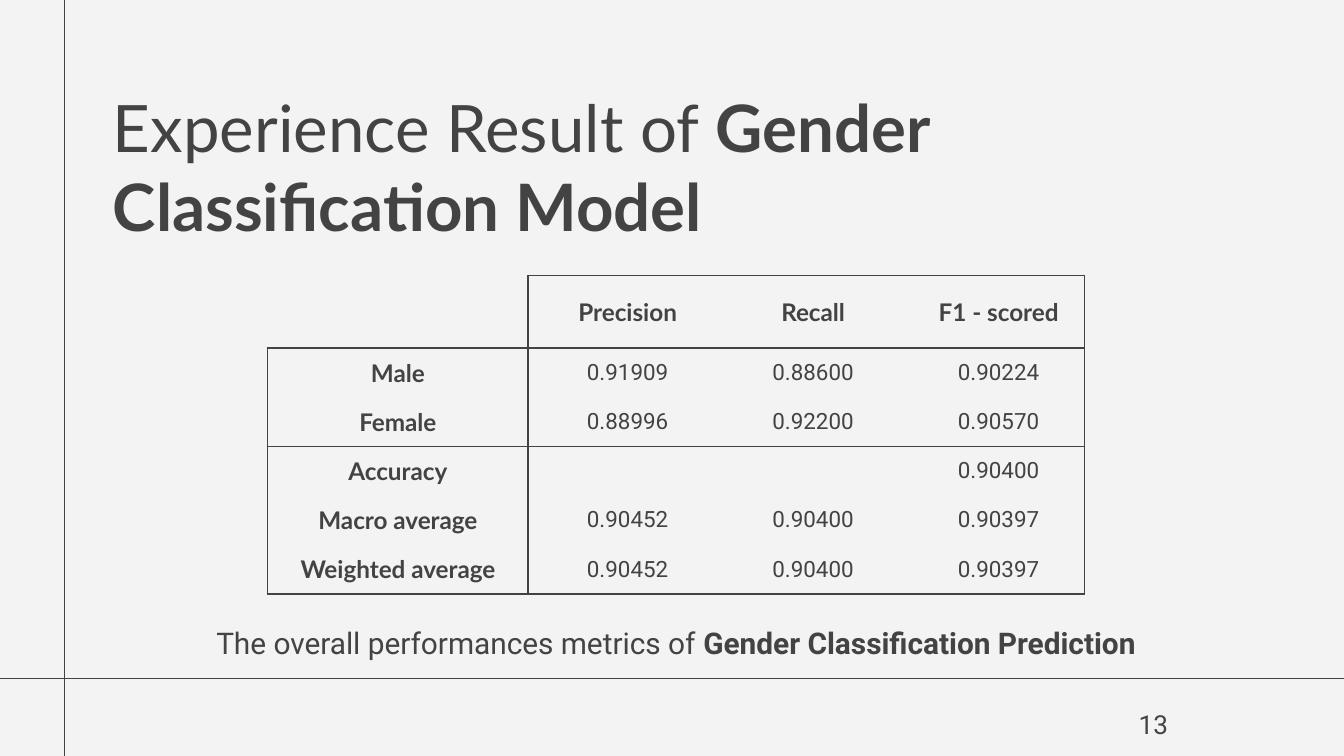
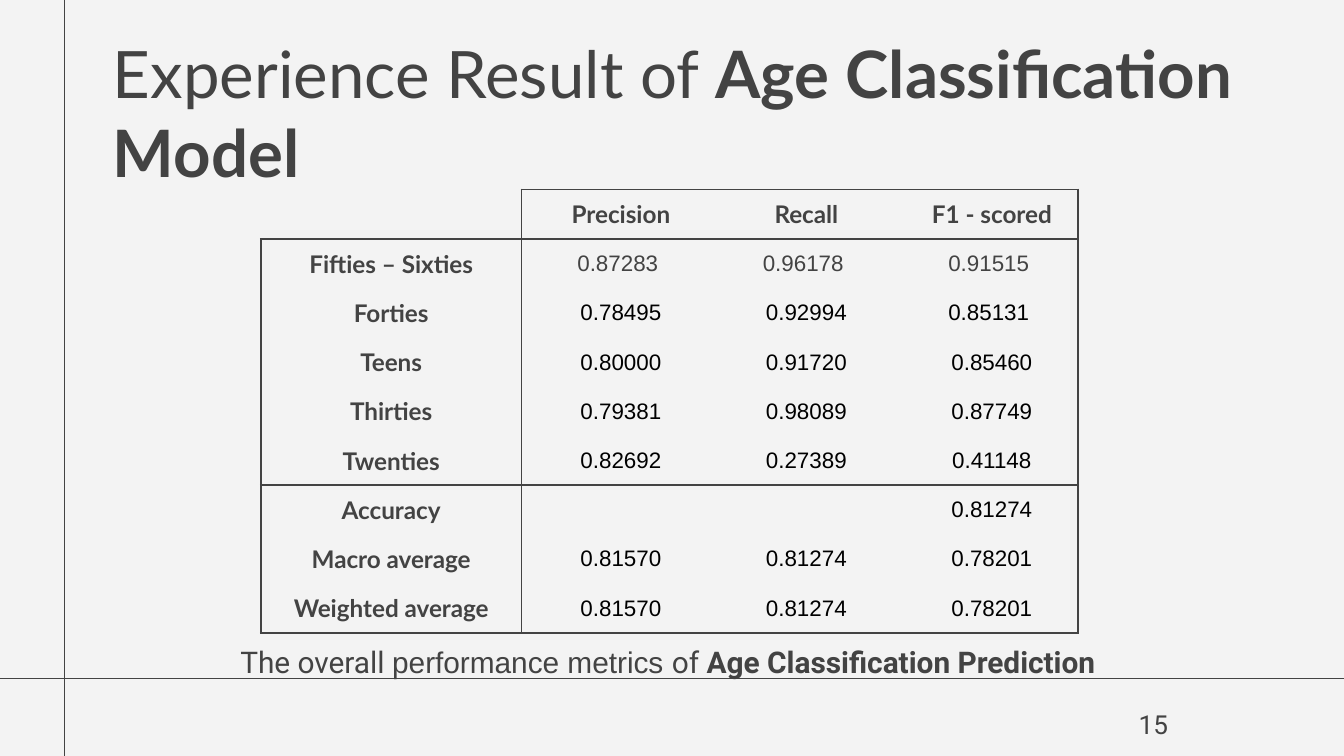
"""Build two slides of classification results, each with a metrics table."""
from lxml.etree import SubElement
from pptx import Presentation
from pptx.dml.color import RGBColor
from pptx.enum.shapes import MSO_CONNECTOR as CONN
from pptx.enum.text import MSO_ANCHOR as ANCHOR, MSO_AUTO_SIZE as AUTOSIZE, PP_ALIGN as ALIGN
from pptx.oxml.ns import qn
from pptx.util import Inches, Pt

COLORS = {"ink": "434343", "paper": "F3F3F3", "black": "000000"}
HEAD, BODY, PLAIN = "Lato", "Roboto", "Arial"
HEADERS = ["", "Precision", "Recall", "F1 - scored"]
COL_WIDTHS = [1.94, 1.38, 1.38, 1.38]

GENDER_ROWS = [
    ["Male", "0.91909", "0.88600", "0.90224"],
    ["Female", "0.88996", "0.92200", "0.90570"],
    ["Accuracy", "", "", "0.90400"],
    ["Macro average", "0.90452", "0.90400", "0.90397"],
    ["Weighted average", "0.90452", "0.90400", "0.90397"],
]
AGE_ROWS = [
    ["Fifties – Sixties", "0.87283 ", "0.96178 ", "0.91515 "],
    ["Forties", "0.78495", "0.92994", "0.85131 "],
    ["Teens", "0.80000", "0.91720", "0.85460"],
    ["Thirties", "0.79381", "0.98089", "0.87749"],
    ["Twenties", "0.82692", "0.27389", "0.41148"],
    ["Accuracy", "", "", "0.81274"],
    ["Macro average", "0.81570", "0.81274", "0.78201"],
    ["Weighted average", "0.81570", "0.81274", "0.78201"],
]


def rgb(color):
    return RGBColor.from_string(COLORS[color])


class Deck:
    def __init__(self):
        self.prs = Presentation()
        self.prs.slide_width, self.prs.slide_height = Inches(10), Inches(5.625)
        fill = self.prs.slide_master.background.fill
        fill.solid()
        fill.fore_color.rgb = rgb("paper")
        self.s = None

    def slide(self, number):
        self.s = self.prs.slides.add_slide(self.prs.slide_layouts[5])
        self.line(0, 5.05, 10, 5.05)
        self.line(0.48, 0, 0.48, 5.625)
        self.text(8.19, 5.17, 0.6, 0.43, [(number, BODY, False)], 14, ALIGN.RIGHT)

    def line(self, x1, y1, x2, y2):
        cx = self.s.shapes.add_connector(CONN.STRAIGHT, *map(Inches, (x1, y1, x2, y2)))
        cx.line.color.rgb = rgb("ink")
        cx.line.width = Pt(0.75)
        SubElement(cx._element.spPr, qn("a:effectLst"))

    def run(self, p, text, font, size, bold, color="ink"):
        r = p.add_run()
        r.text = text
        r.font.name, r.font.size, r.font.bold = font, Pt(size), bold
        r.font.color.rgb = rgb(color)

    def fill_text(self, sp, runs, size, align):
        tf = sp.text_frame
        tf.word_wrap, tf.auto_size = True, AUTOSIZE.NONE
        tf.vertical_anchor = ANCHOR.TOP
        tf.margin_left = tf.margin_right = tf.margin_top = tf.margin_bottom = Inches(0.1)
        p = tf.paragraphs[0]
        p.alignment = align
        for text, font, bold in runs:
            self.run(p, text, font, size, bold)

    def text(self, x, y, w, h, runs, size, align):
        sp = self.s.shapes.add_textbox(*map(Inches, (x, y, w, h)))
        self.fill_text(sp, runs, size, align)

    def title(self, x, y, w, h, subject):
        sp = self.s.shapes.title
        sp.left, sp.top, sp.width, sp.height = map(Inches, (x, y, w, h))
        runs = [("Experience Result of ", HEAD, False), (subject, HEAD, True)]
        self.fill_text(sp, runs, 35, ALIGN.LEFT)

    def borders(self, cell, drawn):
        tcPr = cell._tc.get_or_add_tcPr()
        for side in "LRTB":
            ln = SubElement(tcPr, qn(f"a:ln{side}"), w=str(Pt(1)))
            if side in drawn:
                fill = SubElement(ln, qn("a:solidFill"))
                SubElement(fill, qn("a:srgbClr"), val=COLORS["ink"])
            else:
                SubElement(ln, qn("a:noFill"))
        cell.fill.background()

    def table(self, x, y, height, head, rows, font, color_of):
        grid = [HEADERS] + rows
        last = len(rows)
        split = [row[0] for row in grid].index("Accuracy")
        frame = self.s.shapes.add_table(len(grid), len(HEADERS), Inches(x), Inches(y),
                                        Inches(sum(COL_WIDTHS)), Inches(height))
        table = frame.table
        table.first_row = table.horz_banding = False
        for column, width in zip(table.columns, COL_WIDTHS):
            column.width = Inches(width)
        for i, values in enumerate(grid):
            table.rows[i].height = Inches((height - head) / last if i else head)
            for j, value in enumerate(values):
                cell = table.cell(i, j)
                drawn = {
                    "L": j == 1 or (j == 0 and i > 0),
                    "R": j in (0, len(values) - 1),
                    "T": i in (1, split) or (i == 0 and j > 0),
                    "B": i in (0, split - 1, last),
                }
                self.borders(cell, [side for side, shown in drawn.items() if shown])
                cell.vertical_anchor = ANCHOR.MIDDLE
                cell.margin_left = Inches(0.2 if j else 0.1)
                cell.margin_right = Inches(0.1)
                cell.margin_top = cell.margin_bottom = Inches(0.07)
                p = cell.text_frame.paragraphs[0]
                p.alignment = ALIGN.CENTER
                if not value:
                    SubElement(p._p, qn("a:endParaRPr"), sz="1200")
                elif i == 0 or j == 0:
                    self.run(p, value, HEAD, 13, True)
                else:
                    self.run(p, value, font, 12, False, color_of(i))


def main():
    deck = Deck()

    deck.slide("13")
    deck.title(0.74, 0.55, 7.7, 1.38, "Gender Classification Model")
    deck.table(1.99, 2.05, 2.37, 0.54, GENDER_ROWS, BODY, lambda i: "ink")
    deck.text(1.27, 4.55, 7.52, 0.43, [
        ("The overall performances metrics of ", BODY, False),
        ("Gender Classification Prediction", BODY, True),
    ], 16, ALIGN.CENTER)

    deck.slide("15")
    deck.title(0.74, 0.15, 8.59, 1.28, "Age Classification Model")
    deck.table(1.94, 1.41, 3.3, 0.37, AGE_ROWS, PLAIN, lambda i: "ink" if i == 1 else "black")
    deck.text(0.12, 4.69, 9.7, 0.43, [
        ("The overall ", BODY, False),
        ("performance metrics ", PLAIN, False),
        ("of ", BODY, False),
        ("Age Classification Prediction", BODY, True),
    ], 16, ALIGN.CENTER)

    deck.prs.save("out.pptx")


if __name__ == "__main__":
    main()
